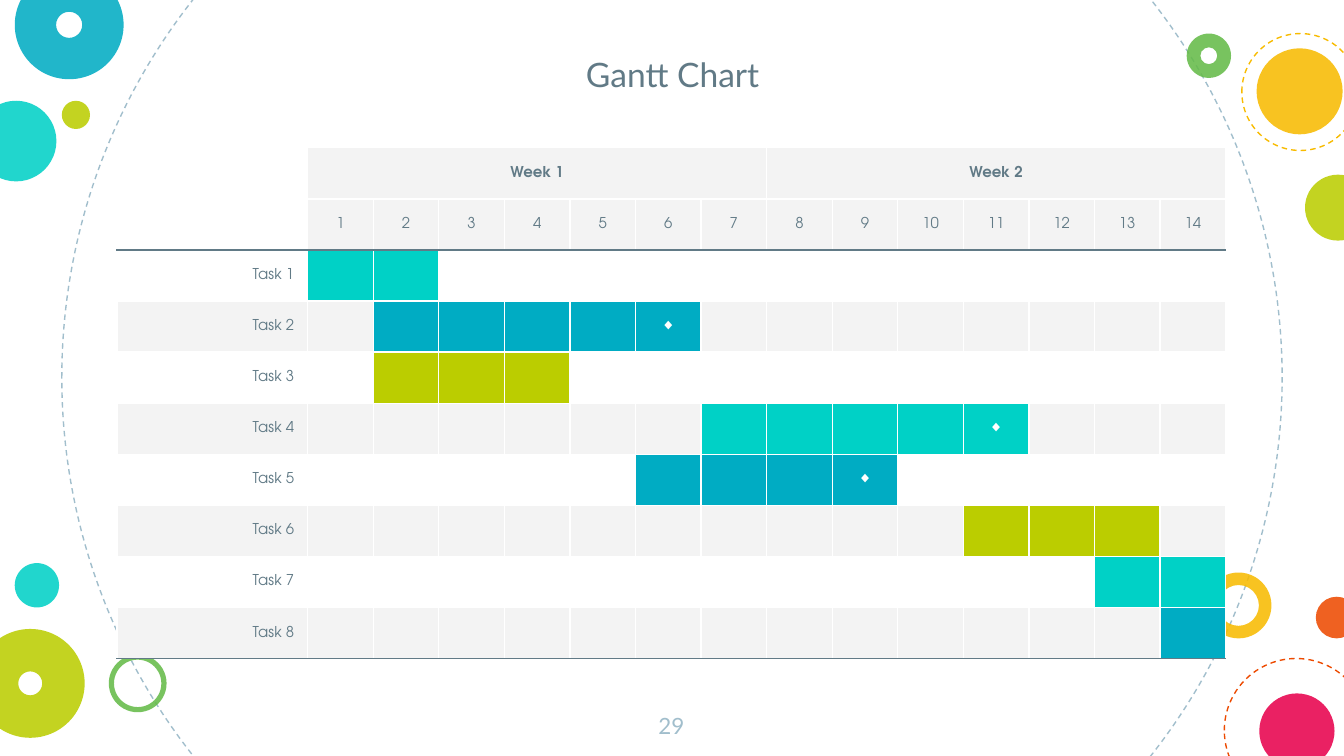
from lxml.etree import SubElement
from pptx import Presentation
from pptx.dml.color import RGBColor
from pptx.enum.dml import MSO_LINE
from pptx.enum.shapes import MSO_SHAPE
from pptx.enum.text import MSO_ANCHOR, MSO_AUTO_SIZE, PP_ALIGN
from pptx.oxml.ns import qn
from pptx.util import Inches, Pt

SLATE, MIST, WHITE, GREY = "617A86", "A1BECC", "FFFFFF", "F3F3F3"
TEAL, BLUE, LIME, GREEN = "00D1C6", "00ACC3", "BBCD00", "65BB48"
YELLOW, ORANGE, PINK = "F8BB00", "ED4A00", "E8004C"


def paint(fill, color):
    fill.solid()
    fill.fore_color.rgb = RGBColor.from_string(color)


def write(tf, text, size=8, font="TeX Gyre Adventor", color=SLATE, bold=False,
          align=PP_ALIGN.CENTER):
    p = tf.paragraphs[0]
    p.alignment = align
    r = p.add_run()
    r.text = text
    r.font.size, r.font.name, r.font.bold = Pt(size), font, bold
    paint(r.font.fill, color)


prs = Presentation()
prs.slide_width = Inches(10)
prs.slide_height = prs.slide_width * 9 // 16
s = prs.slides.add_slide(prs.slide_layouts[5])

# Decorative circles: left, top, diameter, colour, style
# (style is "dash" for an outline, None for a disc, a number for a ring's thickness)
circles = [
    (0.46, -1.73, 9.08, MIST, "dash"),
    (-0.18, 0.75, 0.6, TEAL, None),
    (8.97, 4.26, 0.49, YELLOW, 0.19),
    (0.11, -0.22, 0.81, BLUE, 0.38),
    (0.46, 0.75, 0.21, LIME, None),
    (9.11, 4.9, 1.07, ORANGE, "dash"),
    (0.81, 4.87, 0.43, GREEN, 0.09),
    (9.79, 4.44, 0.31, ORANGE, None),
    (-0.18, 4.68, 0.81, LIME, 0.39),
    (9.37, 5.16, 0.56, PINK, None),
    (8.83, 0.25, 0.33, GREEN, 0.31),
    (9.35, 0.36, 0.64, YELLOW, None),
    (9.71, 1.3, 0.49, LIME, None),
    (9.24, 0.25, 0.87, YELLOW, "dash"),
    (0.11, 4.19, 0.33, TEAL, None),
]
for left, top, size, color, style in circles:
    ring = isinstance(style, float)
    sp = s.shapes.add_shape(MSO_SHAPE.DONUT if ring else MSO_SHAPE.OVAL,
                            Inches(left), Inches(top), Inches(size), Inches(size))
    sp.shadow.inherit = False
    if ring:
        sp.adjustments[0] = style
    if style == "dash":
        sp.fill.background()
        paint(sp.line.fill, color)
        sp.line.width = Pt(0.75)
        sp.line.dash_style = MSO_LINE.DASH
    else:
        paint(sp.fill, color)
        sp.line.fill.background()
        clr = sp.element.spPr.find(qn("a:solidFill"))[0]
        SubElement(clr, qn("a:alpha"), val="87000")

# Title and slide number
title = s.shapes.title
number = s.shapes.add_textbox(Inches(4.74), Inches(5.2), Inches(0.51), Inches(0.43))
title.left, title.top, title.width, title.height = (
    Inches(2.12), Inches(0.1), Inches(5.77), Inches(0.7))
for sp, text, size, color, anchor in [
    (title, "Gantt Chart", 18, SLATE, MSO_ANCHOR.BOTTOM),
    (number, "29", 12, MIST, MSO_ANCHOR.TOP),
]:
    tf = sp.text_frame
    tf.word_wrap, tf.auto_size, tf.vertical_anchor = True, MSO_AUTO_SIZE.NONE, anchor
    tf.margin_left = tf.margin_right = tf.margin_top = tf.margin_bottom = Inches(0.1)
    write(tf, text, size=size, font="Lato", color=color)

# Gantt table: colour, first day, last day, ends in a milestone
tasks = [
    (TEAL, 1, 2, False),
    (BLUE, 2, 6, True),
    (LIME, 2, 4, False),
    (TEAL, 7, 11, True),
    (BLUE, 6, 9, True),
    (LIME, 11, 13, False),
    (TEAL, 13, 14, False),
    (BLUE, 14, 14, False),
]
DAYS, HEADERS = 14, 2
ROWS = HEADERS + len(tasks)
WIDTH, LABEL, ROW = 8.25, 1.42, 0.38
table = s.shapes.add_table(ROWS, DAYS + 1, Inches(0.87), Inches(1.1),
                           Inches(WIDTH), Inches(ROW * ROWS)).table
table.first_row = table.horz_banding = False
for row in table.rows:
    row.height = Inches(ROW)
for day, col in enumerate(table.columns):
    col.width = Inches((WIDTH - LABEL) / DAYS if day else LABEL)

for i in range(ROWS):
    for day in range(DAYS + 1):
        cell = table.cell(i, day)
        cell.vertical_anchor = MSO_ANCHOR.MIDDLE
        text, fill, fmt = "", None, {}
        if i < HEADERS:
            if day:
                fill = GREY
                if i == 1:
                    text = str(day)
                elif day % 7 == 1:
                    text, fmt = f"Week {day // 7 + 1}", {"bold": True}
        else:
            color, first, last, milestone = tasks[i - HEADERS]
            fill = GREY if i % 2 else None
            if day == 0:
                text, fmt = f"Task {i - 1}", {"align": PP_ALIGN.RIGHT}
            elif first <= day <= last:
                fill = color
                if milestone and day == last:
                    text, fmt = "◆", {"color": WHITE}

        tcPr = cell._tc.get_or_add_tcPr()
        for side in ("L", "R", "T", "B"):
            dark = (side == "T" and i == HEADERS) or (side == "B" and i in (1, ROWS - 1))
            ln = SubElement(tcPr, qn(f"a:ln{side}"), w=str(Pt(0.75)))
            SubElement(SubElement(ln, qn("a:solidFill")), qn("a:srgbClr"),
                       val=SLATE if dark else WHITE)
        if fill:
            paint(cell.fill, fill)
        else:
            cell.fill.background()
        if text:
            write(cell.text_frame, text, **fmt)
        else:
            SubElement(cell.text_frame.paragraphs[0]._p, qn("a:endParaRPr"), sz="800")

for day in (1, 8):
    table.cell(0, day).merge(table.cell(0, day + 6))

prs.save("out.pptx")
